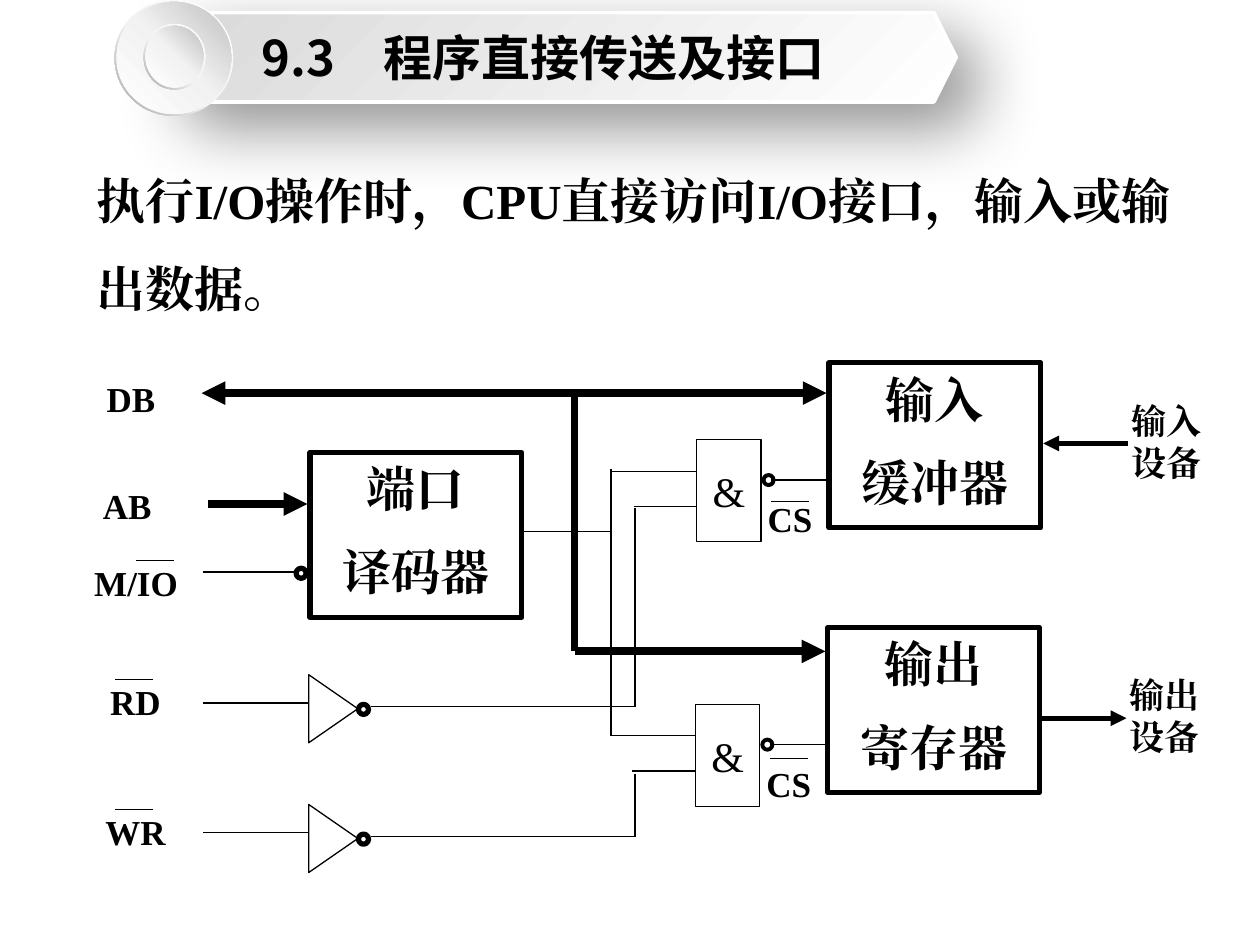
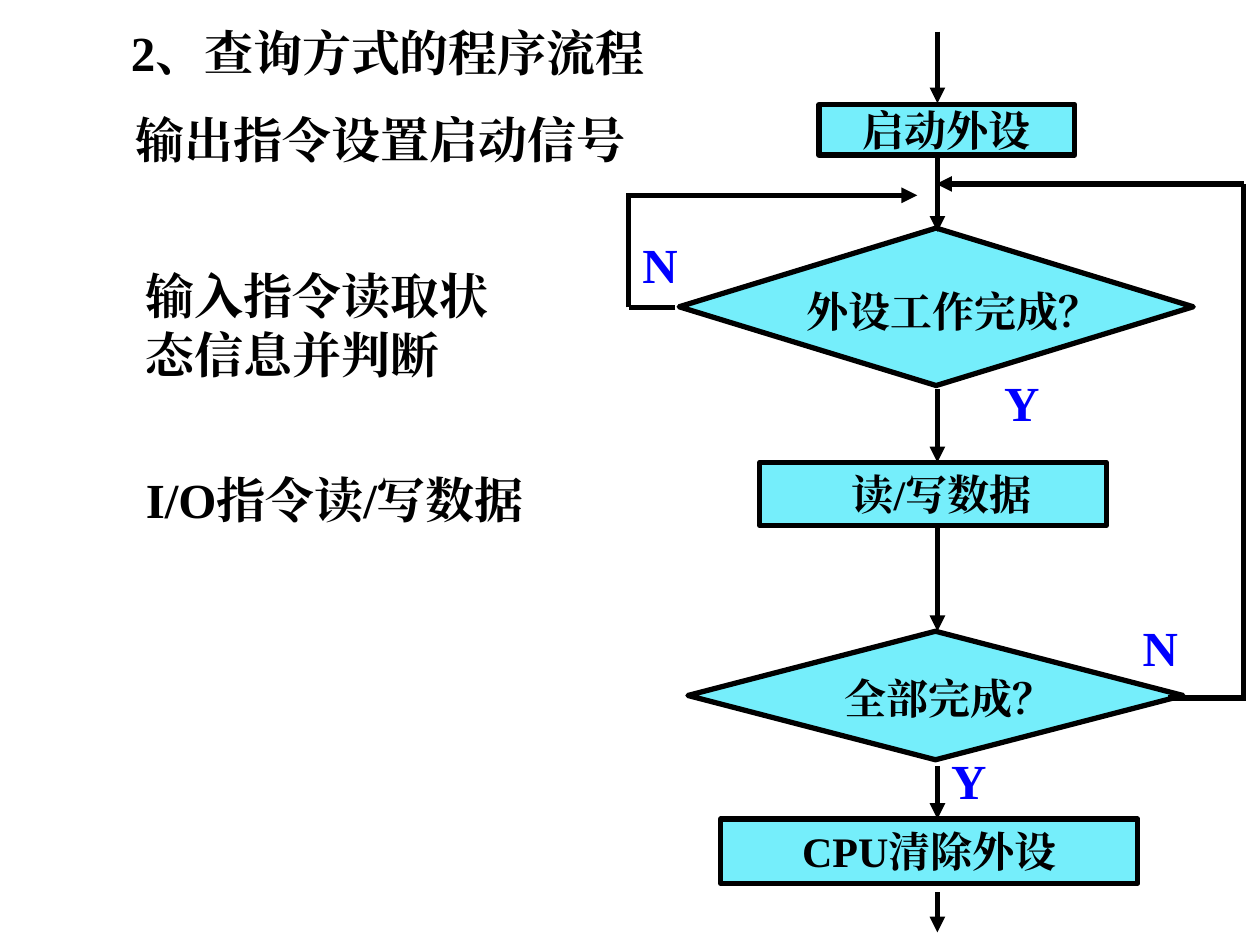
from lxml import etree
from pptx import Presentation
from pptx import util as u
from pptx.dml import color
from pptx.enum import shapes, text
from pptx.oxml import ns

KIND = shapes.MSO_SHAPE
MID, TOP = text.MSO_ANCHOR.MIDDLE, text.MSO_ANCHOR.TOP
LEFT, CENTER = text.PP_ALIGN.LEFT, text.PP_ALIGN.CENTER
INK, BLUE, CYAN = "000000", "0000FF", "75EEFB"
SERIF, SANS = "Times New Roman", "Noto Sans CJK SC"
COLS, ROWS = 100, 75
RING = [(0, "FFFFFF"), (55, "F2F2F2"), (100, "A6A6A6")]
DISC = [(0, "FFFFFF"), (51, "F2F2F2"), (100, "BFBFBF")]
BAND = [(0, "FFFFFF"), (100, "D9D9D9")]

deck = Presentation()
deck.slide_width, deck.slide_height = u.Inches(10), u.Inches(7.5)
CELL = deck.slide_width / COLS


def rgb(code):
    return color.RGBColor.from_string(code)


def put(item, **vals):
    for key, val in vals.items():
        setattr(item, key, val)


def node(up, tag, **vals):
    kid = etree.SubElement(up, ns.qn("a:" + tag))
    for key, val in vals.items():
        kid.set(key, str(val))
    return kid


def span(*nums):
    return [round(num * CELL) for num in nums]


def write(item, words, size=28, hue=INK, bold=True, font=SERIF, align=LEFT,
          anchor=TOP, wrap=True, gap=14, lead=None, pad=(1, .5, 1, .5)):
    frame = item.text_frame
    left, top, right, low = span(*pad)
    put(frame, word_wrap=wrap, vertical_anchor=anchor, margin_left=left,
        margin_top=top, margin_right=right, margin_bottom=low)
    for num, line in enumerate(words.split("\n")):
        par = frame.add_paragraph() if num else frame.paragraphs[0]
        put(par, alignment=align, line_spacing=lead,
            space_before=u.Pt(gap if num else 0))
        run = par.add_run()
        run.text = line
        put(run.font, size=u.Pt(size), bold=bold, name=font)
        run.font.color.rgb = rgb(hue)
        node(run.font._element, "ea", typeface=font)


class Pane:
    def __init__(self, slide, x=0, y=0, w=COLS, h=ROWS):
        self.slide, self.x, self.y, self.w, self.h = slide, x, y, w, h

    def sub(self, x, y, w, h):
        return Pane(self.slide, self.x + x, self.y + y, w, h)

    def spot(self, x, y, w, h):
        return span(self.x + x, self.y + y, w, h)

    def label(self, x, y, w, h, words, **look):
        item = self.slide.shapes.add_textbox(*self.spot(x, y, w, h))
        write(item, words, **look)

    def shape(self, kind, x, y, w, h, fill=None, line=INK, width=3,
              words=None, **look):
        item = self.slide.shapes.add_shape(kind, *self.spot(x, y, w, h))
        item.shadow.inherit = False
        if fill:
            item.fill.solid()
            item.fill.fore_color.rgb = rgb(fill)
        else:
            item.fill.background()
        if line:
            item.line.color.rgb = rgb(line)
            item.line.width = u.Pt(width)
        else:
            item.line.fill.background()
        if words:
            write(item, words, **{"align": CENTER, **look})
        return item

    def wire(self, x, y, to, down, width=.75, head=False, tail=False):
        a, b, c, d = self.spot(x, y, self.x + to, self.y + down)
        item = self.slide.shapes.add_connector(
            shapes.MSO_CONNECTOR.STRAIGHT, a, b, c, d)
        item.line.color.rgb = rgb(INK)
        item.line.width = u.Pt(width)
        for name, show in (("headEnd", head), ("tailEnd", tail)):
            if show:
                node(item.line._get_or_add_ln(), name, type="triangle")
        node(item._element.spPr, "effectLst")

    def dot(self, x, y, width=3):
        self.shape(KIND.OVAL, x, y, .8, .8, width=width)


def shade(item, stops, angle):
    item.fill.gradient()
    grad = item._element.spPr.find(ns.qn("a:gradFill"))
    for kid in list(grad):
        grad.remove(kid)
    row = node(grad, "gsLst")
    for pos, hue in stops:
        node(node(row, "gs", pos=pos * 1000), "srgbClr", val=hue)
    node(grad, "lin", ang=angle * 60000, scaled=0)


def banner(pane, words):
    bar = pane.shape(KIND.HEXAGON, 3.1, 1, pane.w - 3.1, 7.1, line="FFFFFF",
                     width=2, words=words, font=SANS, anchor=MID,
                     pad=(1, .5, 2.9, .5))
    shade(bar, BAND, 225)
    glow = bar._element.spPr.find(ns.qn("a:effectLst"))
    cast = node(glow, "outerShdw", blurRad=u.Pt(38), dist=u.Pt(19),
                dir=45 * 60000, algn="tl", rotWithShape=0)
    node(node(cast, "srgbClr", val=INK), "alpha", val=42000)
    for x, y, w, h in ((0, 0, 9.4, 9.2), (2.3, 1.9, 4.9, 5.2)):
        ring = pane.shape(KIND.DONUT, x, y, w, h, line=None)
        ring.adjustments[0] = .05
        shade(ring, RING, 135)
        disc = pane.shape(KIND.OVAL, x + .15, y + .15, w - .3, h - .3, line=None)
        shade(disc, DISC, 315)


def signal(pane, words, x=0, y=0):
    pane.label(x, y, 12.8, 4.3, words, size=20, align=CENTER)


def store(pane, x, y, words):
    pane.shape(KIND.RECTANGLE, x, y, 16.8, 13.1, words=words)


def decode(pane):
    store(pane, 20.9, 0, "端口\n译码器")
    signal(pane, "DB", .3, -6.4)
    signal(pane, "AB", 0, 2.1)
    signal(pane, "M/IO", .7, 8.2)
    pane.wire(7.1, 8.6, 10.1, 8.6)
    pane.wire(12.8, 4.1, 20.7, 4.1, width=4.5, tail=True)
    pane.wire(12.4, 9.5, 19.8, 9.5)
    pane.dot(19.8, 9.2)


def port(pane, words, device, bar, drop, inward):
    store(pane, 17.3, 0, words)
    pane.shape(KIND.RECTANGLE, 6.8, 6.1, 5.1, 8.1, width=.75, words="&",
               size=24, bold=False, anchor=MID, wrap=False)
    pane.dot(12.1, 8.9, width=2.25)
    pane.wire(12.7, 9.3, 17.2, 9.3)
    signal(pane, "CS", 7.8, 10.2)
    pane.wire(12.7, bar, 15.7, bar)
    pane.wire(.1, 8.6, 6.8, 8.6)
    pane.wire(1.8, 11.4, 6.8, 11.4)
    pane.wire(41, drop, 34.3, drop, width=3, head=not inward, tail=inward)
    pane.label(39.15, drop - 4, 9.8, 7.7, device, size=20, align=CENTER)


def strobe(pane, words):
    signal(pane, words)
    pane.wire(4.8, .45, 7.8, .45)
    pane.wire(11.8, 2.3, 20.1, 2.3)
    flag = pane.shape(KIND.ISOSCELES_TRIANGLE, 19.4, .8, 5.4, 3.9, width=.75)
    flag.rotation = 90
    pane.dot(24.1, 2.4)
    pane.wire(25.1, 2.6, pane.w, 2.6)


def buses(pane):
    for x, top, low in ((32.5, 6, 27.2), (34.4, 9.1, 24.9), (34.4, 30.2, 35.2)):
        pane.wire(x, top, x, low)
    pane.wire(25.2, 11, 32.5, 11)
    pane.wire(0, 0, 49.6, 0, width=4.5, head=True, tail=True)
    pane.wire(29.6, 0, 29.6, 20.5, width=4.5)
    pane.wire(29.6, 20.5, 49.5, 20.5, width=4.5, tail=True)


def circuit(pane):
    banner(pane.sub(9.1, 0, 66.8, 9.2), "9.3\u3000程序直接传送及接口")
    pane.label(6.7, 10.7, 88.2, 14.3, "执行I/O操作时，CPU直接访问I/O接口，输入或输出数据。",
               lead=1.5)
    decode(pane.sub(3.7, 35.9, 37.7, 13.1))
    port(pane.sub(48.5, 28.8, 49, 14.2), "输入\n缓冲器", "输入设备", 11, 6.4, True)
    port(pane.sub(48.4, 49.8, 49, 14.2), "输出\n寄存器", "输出设备", 10.4, 7.2, False)
    for num, words in enumerate(("RD", "WR")):
        strobe(pane.sub(4.35, 53.5 + 10.3 * num, 46, 5.4), words)
    buses(pane.sub(16, 31.2, 49.6, 36))


def notes(pane):
    for x, y, w, h, words in (
            (0, 0, 65.8, 5.7, "2、查询方式的程序流程"),
            (.4, 6.9, 47.6, 5.7, "输出指令设置启动信号"),
            (1.2, 19.3, 30.6, 10.3, "输入指令读取状态信息并判断"),
            (1.2, 35.5, 38, 5.7, "I/O指令读/写数据")):
        pane.label(x, y, w, h, words)


def step(pane, mid, y, w, h, words, **look):
    pane.shape(KIND.RECTANGLE, mid - w / 2, y, w, h, fill=CYAN, words=words,
               size=24, **look)


def test(pane, mid, y, w, h, words, shift, drop):
    pane.shape(KIND.FLOWCHART_DECISION, mid - w / 2, y, w, h, fill=CYAN)
    pane.label(mid - w / 2 + shift, y + drop, w - 5.7, 5.1, words, size=24,
               align=CENTER)


def flow(pane):
    axis = 24.5
    step(pane, 25.25, 5.8, 20.3, 4, "启动外设", pad=(0, 0, 0, 0))
    test(pane, 24.4, 15.6, 40.8, 12.5, "外设工作完成？", 4.2, 4.1)
    step(pane, 24.15, 34.2, 27.5, 5, "读/写数据", pad=(2.3, .5, 1, .5))
    test(pane, 24.35, 47.6, 39.3, 10.2, "全部完成？", 4, 2.8)
    step(pane, 23.85, 62.5, 33.1, 5.1, "CPU清除外设")
    for top, low in ((0, 5.7), (10, 15.9), (28.4, 34.2), (39.4, 47.6),
                     (58.3, 62.5), (68.3, 71.5)):
        pane.wire(axis, top, axis, low, width=3, tail=True)
    for x, y, to, down, tip in (
            (3.7, 21.9, 0, 21.9, False), (0, 21.9, 0, 12.8, False),
            (0, 13, 22.9, 13, True), (42.8, 52.9, 48.8, 52.9, False),
            (48.8, 53.1, 48.8, 12.1, False), (48.8, 12.1, 24.4, 12.1, True)):
        pane.wire(x, y, to, down, width=3, tail=tip)
    for x, y, words in ((.1, 15.6, "N"), (28.8, 26.6, "Y"),
                        (39.8, 46, "N"), (24.6, 56.6, "Y")):
        pane.label(x, y, 7.5, 5.7, words, hue=BLUE)


def query(pane):
    notes(pane.sub(9.4, 1.3, 65.8, 41.2))
    flow(pane.sub(49.9, 2.5, 48.8, 71.5))


for draw in (circuit, query):
    draw(Pane(deck.slides.add_slide(deck.slide_layouts[6])))
deck.save("out.pptx")
